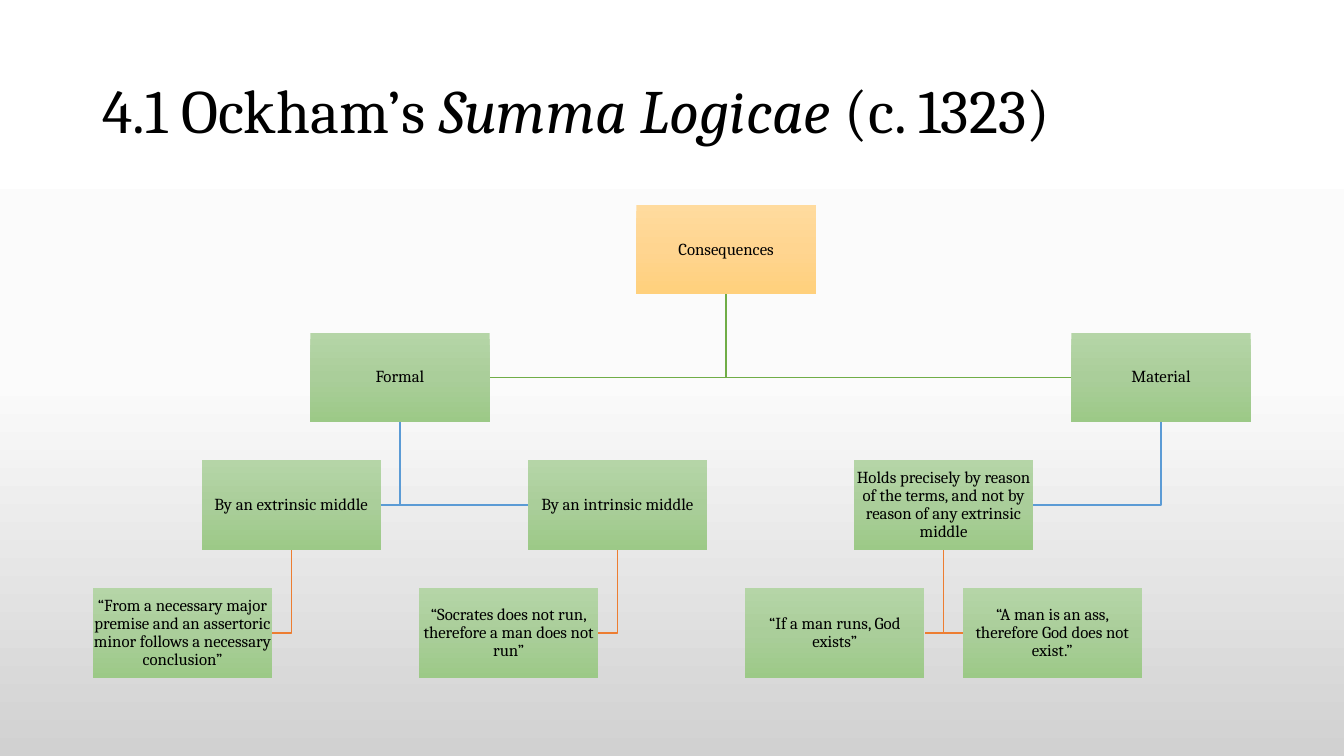
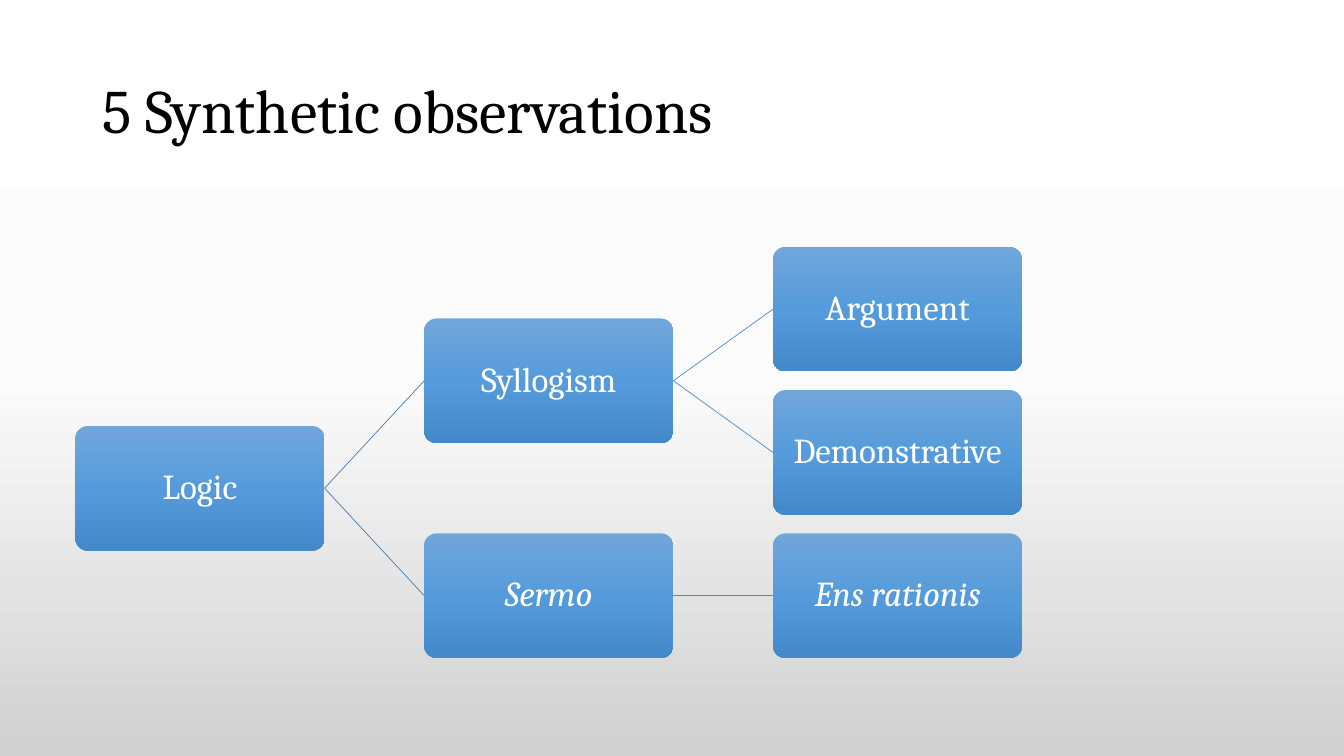
"""Build two slides of tree diagrams on medieval logic."""
from copy import deepcopy

from pptx import Presentation
from pptx.dml.color import RGBColor
from pptx.enum.shapes import MSO_CONNECTOR as CONN, MSO_SHAPE as SHAPE
from pptx.enum.text import MSO_ANCHOR as ANCHOR, PP_ALIGN as ALIGN
from pptx.oxml.ns import qn
from pptx.oxml.xmlchemy import OxmlElement
from pptx.util import Cm, Pt

BLACK = RGBColor(0x00, 0x00, 0x00)
WHITE = RGBColor(0xFF, 0xFF, 0xFF)
LINE_GREEN = RGBColor(0x70, 0xAD, 0x47)
LINE_BLUE = RGBColor(0x5B, 0x9B, 0xD5)
LINE_ORANGE = RGBColor(0xED, 0x7D, 0x31)
LINK_DARK = RGBColor(0x49, 0x7C, 0xAB)
LINK_LIGHT = RGBColor(0x53, 0x8D, 0xC1)
GREY = (WHITE, RGBColor(0xFB, 0xFB, 0xFB), RGBColor(0xD1, 0xD1, 0xD1))
AMBER = (RGBColor(0xFF, 0xDB, 0x9E), RGBColor(0xFF, 0xD5, 0x90), RGBColor(0xFF, 0xD0, 0x7C))
GREEN = (RGBColor(0xB5, 0xD5, 0xA7), RGBColor(0xAA, 0xCE, 0x9A), RGBColor(0x9C, 0xC9, 0x87))
BLUE = (RGBColor(0x71, 0xA6, 0xDB), RGBColor(0x55, 0x9B, 0xDB), RGBColor(0x44, 0x8A, 0xCA))


def set_all(obj, fmt):
    for name, value in fmt.items():
        setattr(obj, name, value)


class Deck:
    FONT = "Cambria"

    def __init__(self):
        self.prs = Presentation()
        set_all(self.prs, {"slide_width": Cm(33.87), "slide_height": Cm(19.05)})
        self.s = None

    def slide(self, *title):
        self.s = self.prs.slides.add_slide(self.prs.slide_layouts[6])
        self.gradient(self.s.background.fill, self.s._element, GREY)
        box = self.s.shapes.add_textbox(Cm(2.33), Cm(1.01), Cm(29.21), Cm(3.68))
        self.text(box.text_frame, title, 44, BLACK, ALIGN.LEFT)

    def gradient(self, fill, element, colors):
        fill.gradient()
        fill.gradient_angle = 270
        first = next(element.iter(qn("a:gs")))
        first.addnext(deepcopy(first))
        for i, (stop, color) in enumerate(zip(fill.gradient_stops, colors)):
            stop.position = i / 2
            stop.color.rgb = color

    def text(self, tf, runs, size, color, align, inset=None):
        set_all(tf, {"word_wrap": True, "vertical_anchor": ANCHOR.MIDDLE})
        if inset is not None:
            sides = ("left", "top", "right", "bottom")
            set_all(tf, {f"margin_{side}": Cm(inset) for side in sides})
        p = tf.paragraphs[0]
        set_all(p, {"alignment": align, "line_spacing": 0.9})
        for words, italic in runs:
            r = p.add_run()
            r.text = words
            set_all(r.font, {"name": self.FONT, "size": Pt(size), "italic": italic})
            r.font.color.rgb = color

    def box(self, kind, x, y, w, h, colors, run, size, color, inset):
        sp = self.s.shapes.add_shape(kind, Cm(x), Cm(y), Cm(w), Cm(h))
        sp.shadow.inherit = False
        sp.line.fill.background()
        self.gradient(sp.fill, sp._element, colors)
        if kind == SHAPE.ROUNDED_RECTANGLE:
            sp.adjustments[0] = 0.1
        self.text(sp.text_frame, [run], size, color, ALIGN.CENTER, inset)

    def elbow(self, x1, y1, x2, y2, color):
        path = self.s.shapes.build_freeform(Cm(x1), Cm(y1))
        path.add_line_segments([(Cm(x1), Cm(y2)), (Cm(x2), Cm(y2))], close=False)
        sp = path.convert_to_shape()
        sp.shadow.inherit = False
        sp.fill.background()
        self.stroke(sp.line, color, 1)

    def link(self, x1, y1, x2, y2, color):
        c = self.s.shapes.add_connector(CONN.STRAIGHT, Cm(x1), Cm(y1), Cm(x2), Cm(y2))
        self.stroke(c.line, color, 0.5)
        c._element.spPr.append(OxmlElement("a:effectLst"))

    def stroke(self, line, color, width):
        line.color.rgb = color
        line.width = Pt(width)


def consequences(deck):
    deck.slide(("4.1 Ockham’s ", False), ("Summa Logicae", True), (" (c. 1323)", False))
    w, h = 4.52, 2.26
    nodes = [
        ("Consequences", 5, 0, None),
        ("Formal", 2, 1, 0),
        ("Material", 9, 1, 0),
        ("By an extrinsic middle", 1, 2, 1),
        ("By an intrinsic middle", 4, 2, 1),
        ("Holds precisely by reason of the terms, and not by reason of any extrinsic middle",
         7, 2, 2),
        ("“From a necessary major premise and an assertoric minor follows a necessary conclusion”",
         0, 3, 3),
        ("“Socrates does not run, therefore a man does not run”", 3, 3, 4),
        ("“If a man runs, God exists”", 6, 3, 5),
        ("“A man is an ass, therefore God does not exist.”", 8, 3, 5),
    ]
    level_lines = (None, LINE_GREEN, LINE_BLUE, LINE_ORANGE)
    spots = [(2.34 + 2.74 * col, 5.16 + 3.22 * row) for _, col, row, _ in nodes]
    for (x, y), (_, _, row, parent) in zip(spots, nodes):
        if parent is not None:
            px, py = spots[parent]
            side = x + w if x < px else x
            deck.elbow(px + w / 2, py + h, side, y + h / 2, level_lines[row])
    for (x, y), (words, _, row, _) in zip(spots, nodes):
        colors = GREEN if row else AMBER
        deck.box(SHAPE.RECTANGLE, x, y, w, h, colors, (words, False), 12, BLACK, 0.02)


def observations(deck):
    deck.slide(("5 Synthetic observations", False))
    w, h = 6.28, 3.14
    nodes = [
        ("Logic", False, 0, 1.25, None),
        ("Syllogism", False, 1, 0.5, 0),
        ("Sermo", True, 1, 2, 0),
        ("Argument", False, 2, 0, 1),
        ("Demonstrative", False, 2, 1, 1),
        ("Ens rationis", True, 2, 2, 2),
    ]
    spots = [(1.9 + 8.79 * col, 6.22 + 3.61 * row) for _, _, col, row, _ in nodes]
    for (x, y), (words, italic, col, _, parent) in zip(spots, nodes):
        if parent is not None:
            px, py = spots[parent]
            color = LINK_DARK if col == 1 else LINK_LIGHT
            deck.link(px + w, py + h / 2, x, y + h / 2, color)
        deck.box(SHAPE.ROUNDED_RECTANGLE, x, y, w, h, BLUE, (words, italic), 25, WHITE, 0.04)


deck = Deck()
consequences(deck)
observations(deck)
deck.prs.save("out.pptx")
